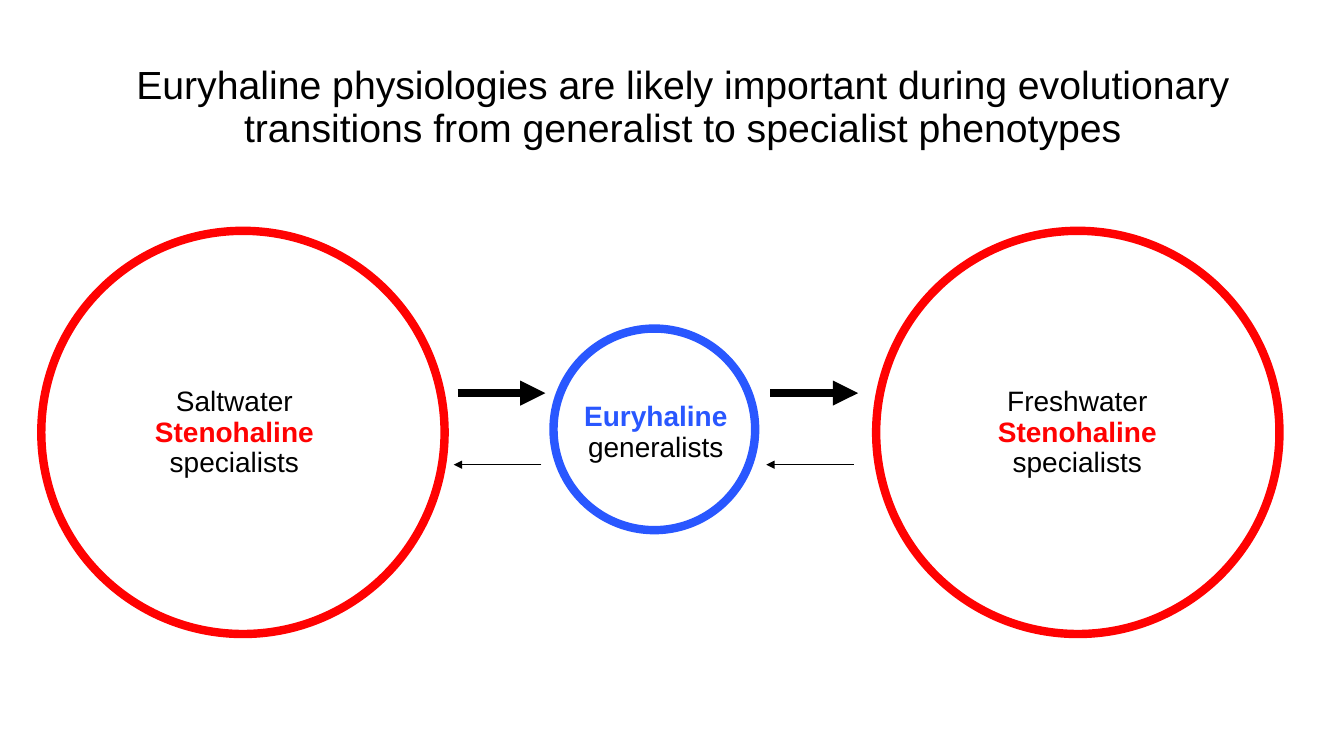
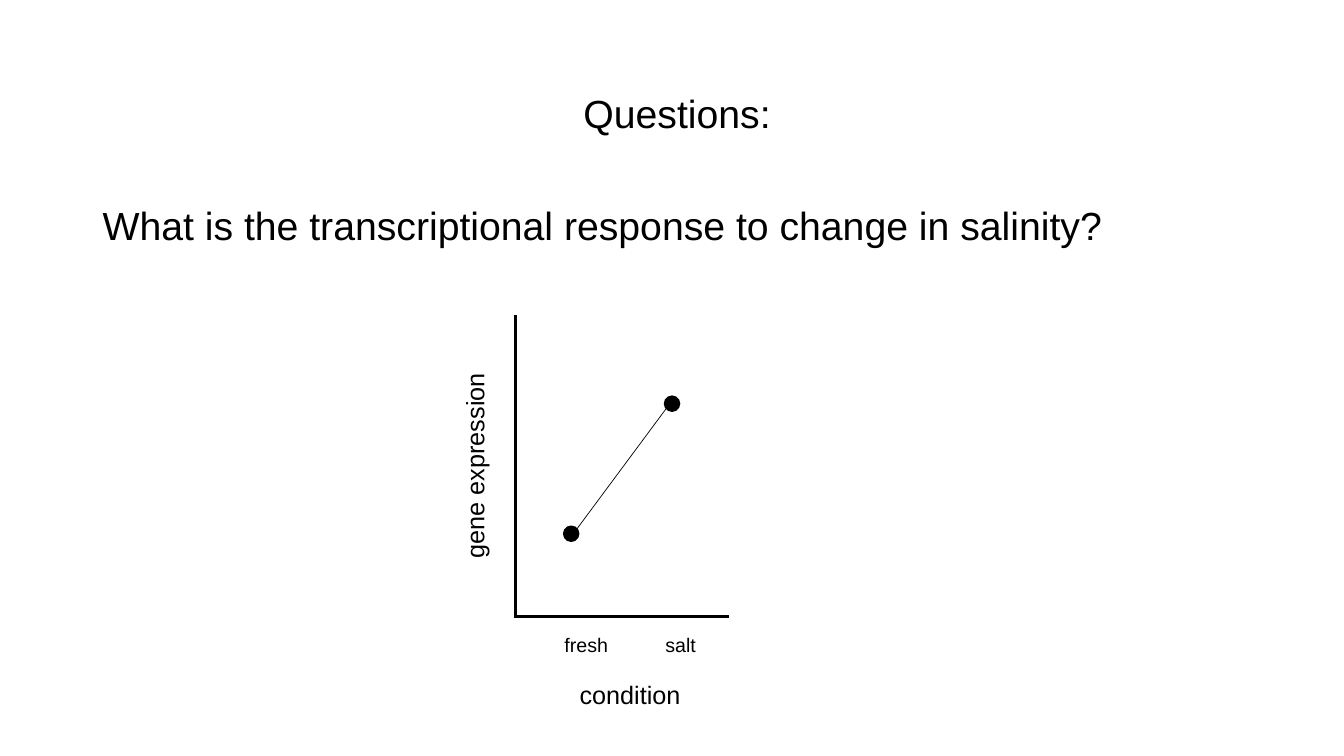
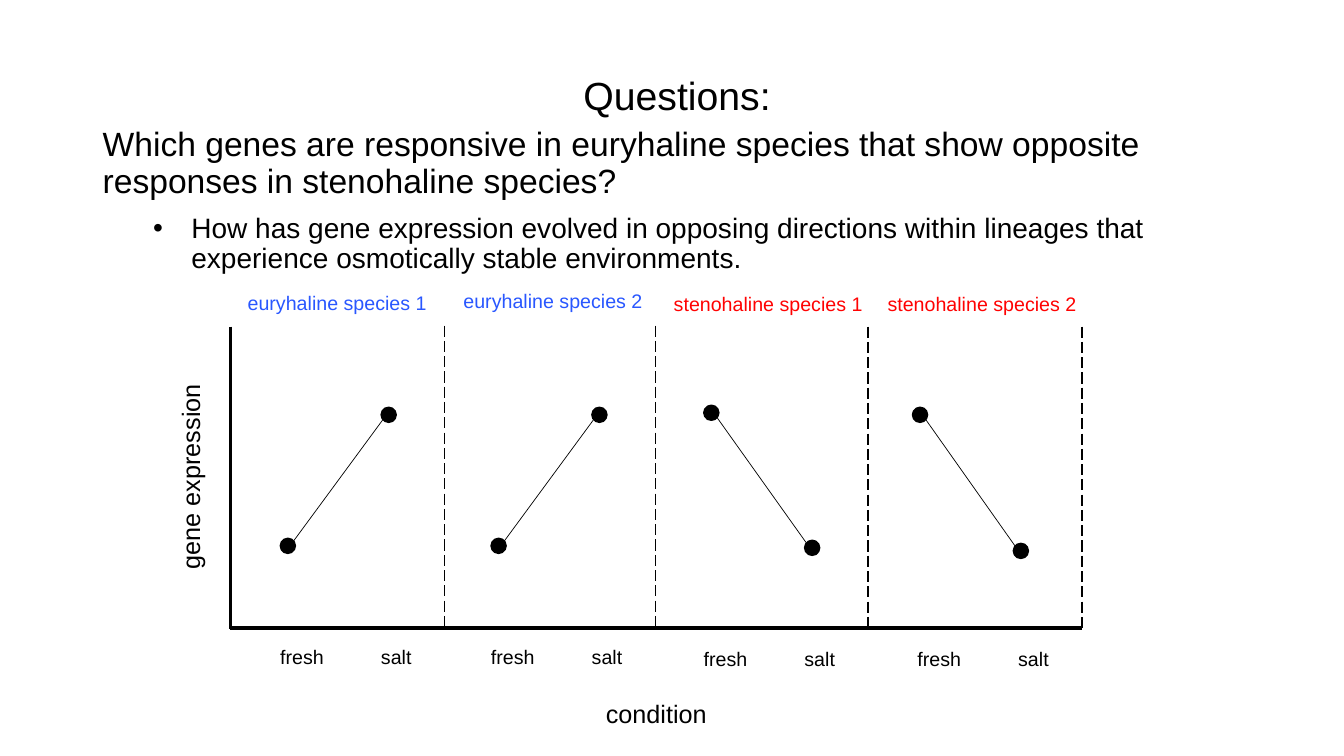
from dataclasses import dataclass
from typing import NamedTuple, Optional

from pptx import Presentation
from pptx.dml.color import RGBColor
from pptx.enum import dml, shapes, text
from pptx.oxml import xmlchemy as ox
from pptx.oxml.ns import qn
from pptx.util import Inches, Pt
from lxml import etree

# Shared look
BLACK, BLUE, RED = "000000", "2957FF", "FF0202"
FONT = "Arial"
DOT = 0.15          # diameter of a data point
STEP = 1.0          # distance from fresh to salt
AXIS_HEIGHT = 3.0
CENTER = text.PP_ALIGN.CENTER
LEFT = text.PP_ALIGN.LEFT
LABEL = {"word_wrap": False, "auto_size": text.MSO_AUTO_SIZE.SHAPE_TO_FIT_TEXT}
MIDDLE = {"word_wrap": True, "vertical_anchor": text.MSO_ANCHOR.MIDDLE}
BODY = {"word_wrap": True}


class Box(NamedTuple):
    left: float
    top: float
    width: float
    height: float


class Run(NamedTuple):
    text: str
    color: str = BLACK
    bold: bool = False


@dataclass
class Para:
    runs: list[Run]
    size: float
    align: text.PP_ALIGN = LEFT
    spacing: Optional[float] = None
    before: float = 0
    tab: float = 0
    bullet: bool = False


@dataclass
class Circle:
    box: Box
    color: str
    text_box: Box
    paras: list[list[Run]]


@dataclass
class Panel:
    x: float            # left edge of the fresh point
    fresh: float        # top edges of the two points
    salt: float
    label_x: float
    label_y: float
    title: str = ""
    color: str = BLACK
    title_box: Optional[Box] = None


def rgb(color: str) -> RGBColor:
    return RGBColor.from_string(color)


def set_all(obj, values: dict) -> None:
    for name, value in values.items():
        setattr(obj, name, value)


# Text
def add_para_marks(p, para: Para) -> None:
    pPr = p._p.get_or_add_pPr()
    if para.bullet:
        p.level = 1
        pPr.set("marL", str(Inches(0.88)))
        pPr.set("indent", str(Inches(-0.38)))
        etree.SubElement(pPr, qn("a:buFont")).set("typeface", FONT)
        etree.SubElement(pPr, qn("a:buChar")).set("char", "•")
    if para.tab:
        tabs = etree.SubElement(pPr, qn("a:tabLst"))
        tab = etree.SubElement(tabs, qn("a:tab"))
        tab.set("pos", str(Inches(para.tab)))
        tab.set("algn", "l")


def add_text(s, box: Box, paras: list[Para], frame: dict, rotation: float = 0) -> None:
    sp = s.shapes.add_textbox(*map(Inches, box))
    sp.rotation = rotation
    tf = sp.text_frame
    set_all(tf, frame)
    for i, para in enumerate(paras):
        p = tf.add_paragraph() if i else tf.paragraphs[0]
        add_para_marks(p, para)
        set_all(p, {"alignment": para.align, "line_spacing": para.spacing,
                    "space_before": Pt(para.before)})
        for run in para.runs:
            r = p.add_run()
            r.text = run.text.rstrip("\n")
            set_all(r.font, {"name": FONT, "size": Pt(para.size), "bold": run.bold})
            r.font.color.rgb = rgb(run.color)
            if run.text.endswith("\n"):
                p.add_line_break()


def add_label(s, box: Box, words: str, size: float, color: str = BLACK,
              align: text.PP_ALIGN = LEFT, tab: float = 0, rotation: float = 0) -> None:
    para = Para([Run(words, color)], size, align, tab=tab)
    add_text(s, box, [para], LABEL, rotation)


def add_title(s, box: Box, words: str) -> None:
    add_text(s, box, [Para([Run(words)], 28, CENTER, 0.9)], MIDDLE)


# Shapes
def add_ellipse(s, box: Box, color: str, weight: float, filled: bool = False) -> None:
    sp = s.shapes.add_shape(shapes.MSO_SHAPE.OVAL, *map(Inches, box))
    sp.shadow.inherit = False
    if filled:
        sp.fill.solid()
        sp.fill.fore_color.rgb = rgb(color)
    else:
        sp.fill.background()
    sp.line.color.rgb = rgb(color)
    sp.line.width = Pt(weight)


def add_line(s, x1: float, y1: float, x2: float, y2: float, weight: float,
             dashed: bool = False, arrow: bool = False) -> None:
    sp = s.shapes.add_connector(shapes.MSO_CONNECTOR.STRAIGHT,
                                *map(Inches, (x1, y1, x2, y2)))
    sp.line.color.rgb = rgb(BLACK)
    sp.line.width = Pt(weight)
    if dashed:
        sp.line.dash_style = dml.MSO_LINE.LONG_DASH
    if arrow:
        ln = sp.line._get_or_add_ln()
        etree.SubElement(ln, qn("a:tailEnd")).set("type", "triangle")
    etree.SubElement(sp._element.spPr, qn("a:effectLst"))


# Plot parts
def add_axes(s, x: float, top: float, right: float) -> None:
    base = top + AXIS_HEIGHT - 0.01
    add_line(s, x, top, x, top + AXIS_HEIGHT, 2.25)
    add_line(s, right, base, x - 0.01, base, 2.25)


def add_axis_names(s, condition: Box, expression: Box) -> None:
    add_label(s, condition, "condition", 18)
    add_label(s, expression, "gene expression", 18, rotation=270)


def add_panel(s, panel: Panel) -> None:
    points = [(panel.x, panel.fresh), (panel.x + STEP, panel.salt)]
    for x, y in points:
        add_ellipse(s, Box(x, y, DOT, DOT), BLACK, 1, filled=True)
    # The line meets the upper point near its bottom, the lower near its top
    highest = min(panel.fresh, panel.salt)
    y1, y2 = (y + (0.12 if y == highest else 0.03) for _, y in points)
    add_line(s, panel.x + 0.13, y1, panel.x + STEP + 0.02, y2, 0.5)
    add_label(s, Box(panel.label_x, panel.label_y, 1.52, 0.34), "fresh\tsalt", 14, tab=STEP)
    if panel.title_box:
        add_label(s, panel.title_box, panel.title, 14, panel.color, CENTER)


# Slides
def specialists(water: str) -> list[list[Run]]:
    return [[Run(water)], [Run("Stenohaline\n", RED, True), Run("specialists")]]


def build_transitions(s) -> None:
    add_title(s, Box(1.02, 0.35, 11.5, 1.45),
              "Euryhaline physiologies are likely important during evolutionary "
              "transitions from generalist to specialist phenotypes")
    circles = [
        Circle(Box(0.41, 2.29, 4, 4), RED, Box(1.03, 3.57, 2.59, 1.45),
               specialists("Saltwater")),
        Circle(Box(5.49, 3.26, 2, 2), BLUE, Box(5.21, 3.57, 2.59, 1.45),
               [[Run("Euryhaline\n", BLUE, True), Run("generalists")]]),
        Circle(Box(8.69, 2.29, 4, 4), RED, Box(9.39, 3.57, 2.59, 1.45),
               specialists("Freshwater")),
    ]
    for circle in circles:
        paras = [Para(runs, 20, CENTER, 0.9) for runs in circle.paras]
        add_text(s, circle.text_box, paras, MIDDLE)
        add_ellipse(s, circle.box, circle.color, 6)
    for x in (4.5, 7.6):
        add_line(s, x + 0.04, 3.9, x + 0.91, 3.9, 6, arrow=True)
        add_line(s, x + 0.87, 4.61, x, 4.61, 0.75, arrow=True)


def build_response(s) -> None:
    add_title(s, Box(0.92, 0.42, 11.59, 1.45), "Questions:")
    question = Run("What is the transcriptional response to change in salinity?")
    add_text(s, Box(0.92, 2, 11.5, 4.76), [Para([question], 28, spacing=0.9)], BODY)
    add_axes(s, 5.11, 3.13, 7.23)
    add_axis_names(s, Box(5.65, 6.69, 1.21, 0.4), Box(3.68, 4.41, 2.05, 0.4))
    add_panel(s, Panel(5.59, 5.22, 3.93, 5.5, 6.23))


def build_comparison(s) -> None:
    question = Run("Which genes are responsive in euryhaline species that show "
                   "opposite responses in stenohaline species?")
    detail = Run("How has gene expression evolved in opposing directions within "
                 "lineages that experience osmotically stable environments.")
    add_text(s, Box(0.92, 1.22, 11.5, 4.76),
             [Para([question], 24, spacing=0.9),
              Para([detail], 20, spacing=0.9, before=10, bullet=True)], BODY)
    add_title(s, Box(0.92, 0.24, 11.59, 1.45), "Questions:")
    add_axes(s, 2.29, 3.24, 10.73)
    for x, top in ((4.41, 3.23), (6.5, 3.23), (8.61, 3.24), (10.73, 3.24)):
        add_line(s, x, top, x, top + AXIS_HEIGHT, 1, dashed=True)
    add_axis_names(s, Box(5.91, 6.88, 1.21, 0.4), Box(0.86, 4.52, 2.05, 0.4))
    panels = [
        Panel(2.78, 5.34, 4.04, 2.68, 6.35, "euryhaline species 1", BLUE,
              Box(2.35, 2.84, 1.99, 0.34)),
        Panel(4.87, 5.34, 4.04, 4.77, 6.35, "euryhaline species 2", BLUE,
              Box(4.49, 2.82, 1.99, 0.34)),
        Panel(6.98, 4.02, 5.36, 6.88, 6.37, "stenohaline species 1", RED,
              Box(6.58, 2.85, 2.08, 0.34)),
        Panel(9.05, 4.04, 5.39, 9, 6.37, "stenohaline species 2", RED,
              Box(8.7, 2.85, 2.08, 0.34)),
    ]
    for panel in panels:
        add_panel(s, panel)


def main() -> None:
    prs = Presentation()
    prs.slide_width, prs.slide_height = Inches(13.33), Inches(7.5)
    for build in (build_transitions, build_response, build_comparison):
        build(prs.slides.add_slide(prs.slide_layouts[6]))
    prs.save("out.pptx")


if __name__ == "__main__":
    main()
